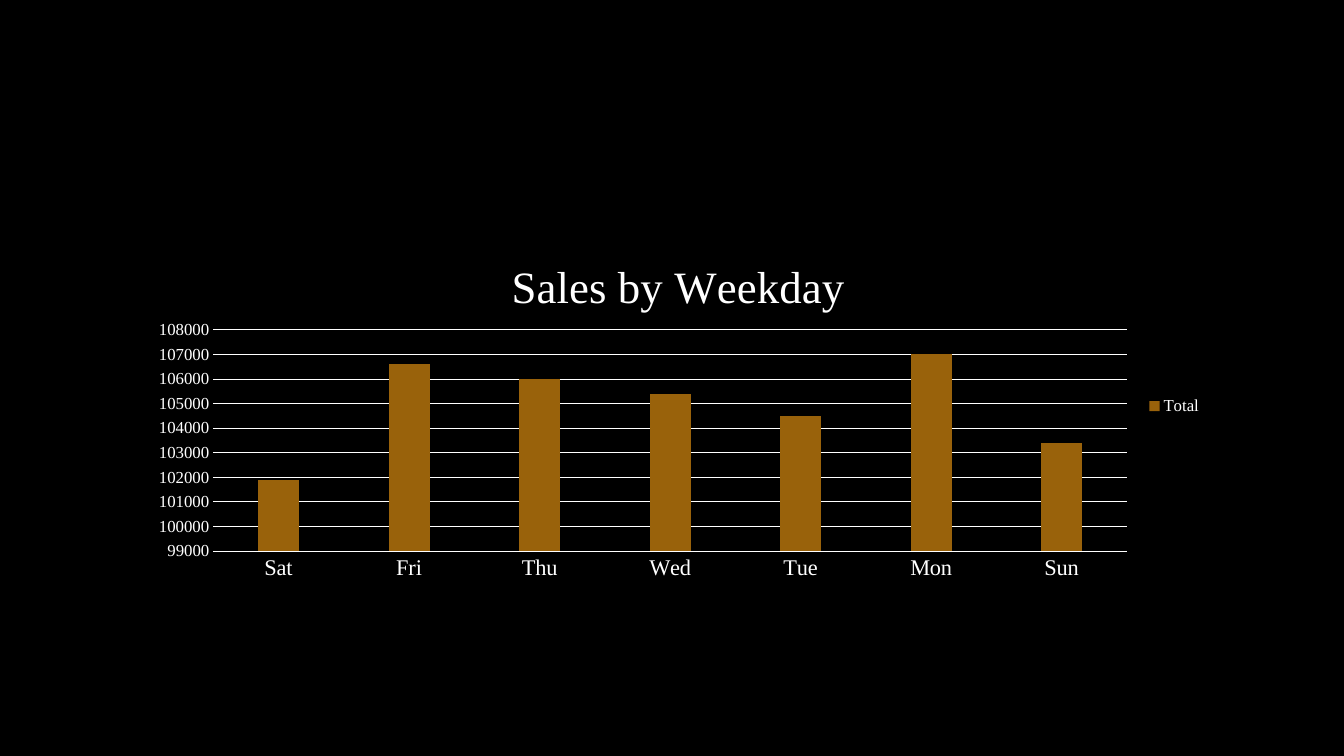
from lxml.etree import SubElement
from pptx import Presentation
from pptx.chart.data import CategoryChartData
from pptx.dml.color import RGBColor
from pptx.enum.chart import XL_CHART_TYPE, XL_LEGEND_POSITION, XL_TICK_MARK
from pptx.oxml.ns import qn
from pptx.util import Inches, Pt

BLACK = RGBColor(0x00, 0x00, 0x00)
WHITE = RGBColor(0xFF, 0xFF, 0xFF)
BRONZE = RGBColor(0x99, 0x62, 0x0B)

WEEKDAY_TOTALS = {
    "Sat": 101900,
    "Fri": 106600,
    "Thu": 106000,
    "Wed": 105400,
    "Tue": 104500,
    "Mon": 107000,
    "Sun": 103400,
}


def apply_values(target, values):
    for attribute, value in values.items():
        setattr(target, attribute, value)


def style_font(font, size):
    apply_values(font, {"name": "Times New Roman", "size": Pt(size), "bold": False})
    font.color.rgb = WHITE


def style_line(line):
    line.color.rgb = WHITE
    line.width = Pt(0.75)


def place_in_chart(parent, index, settings):
    for previous in parent.findall(qn("c:layout")):
        parent.remove(previous)
    layout = SubElement(parent, qn("c:layout"))
    manual = SubElement(layout, qn("c:manualLayout"))
    for tag, value in settings.items():
        SubElement(manual, qn(f"c:{tag}")).set("val", str(value))
    parent.insert(index, layout)


def add_sales_chart(slide):
    sales = CategoryChartData()
    sales.categories = list(WEEKDAY_TOTALS)
    sales.add_series("Total", list(WEEKDAY_TOTALS.values()))
    chart = slide.shapes.add_chart(
        XL_CHART_TYPE.COLUMN_CLUSTERED,
        Inches(1.37), Inches(2.23), Inches(10.66), Inches(3.6), sales,
    ).chart
    style_font(chart.font, 10)
    plot = chart.plots[0]
    apply_values(plot, {"gap_width": 219, "overlap": -27, "vary_by_categories": False})
    total = plot.series[0]
    total.format.fill.solid()
    total.format.fill.fore_color.rgb = BRONZE
    return chart


def add_heading(chart):
    chart.has_title = True
    heading = chart.chart_title
    heading.include_in_layout = False
    heading.text_frame.text = "Sales by Weekday"
    style_font(heading.text_frame.paragraphs[0].runs[0].font, 32)
    place_in_chart(heading._element, 1, {
        "xMode": "edge", "yMode": "edge", "x": 0.34, "y": 0.07,
    })


def style_axes(chart):
    weekdays, amounts = chart.category_axis, chart.value_axis
    for axis, size in ((weekdays, 16), (amounts, 12)):
        apply_values(axis, {
            "major_tick_mark": XL_TICK_MARK.NONE,
            "minor_tick_mark": XL_TICK_MARK.NONE,
        })
        style_font(axis.tick_labels.font, size)
    apply_values(amounts, {
        "minimum_scale": 99000,
        "maximum_scale": 108000,
        "major_unit": 1000,
        "has_major_gridlines": True,
    })
    style_line(weekdays.format.line)
    style_line(amounts.major_gridlines.format.line)
    amounts.format.line.fill.background()


def add_legend(chart):
    chart.has_legend = True
    apply_values(chart.legend, {
        "position": XL_LEGEND_POSITION.RIGHT,
        "include_in_layout": False,
    })
    style_font(chart.legend.font, 12)


def main():
    deck = Presentation()
    apply_values(deck, {"slide_width": Inches(13.33), "slide_height": Inches(7.5)})
    slide = deck.slides.add_slide(deck.slide_layouts[6])
    slide.background.fill.solid()
    slide.background.fill.fore_color.rgb = BLACK
    chart = add_sales_chart(slide)
    add_heading(chart)
    style_axes(chart)
    add_legend(chart)
    plot_area = chart._chartSpace.find(f".//{qn('c:plotArea')}")
    place_in_chart(plot_area, 0, {
        "layoutTarget": "inner", "xMode": "edge", "yMode": "edge",
        "x": 0.07, "y": 0.29, "w": 0.85, "h": 0.61,
    })
    deck.save("out.pptx")


if __name__ == "__main__":
    main()
